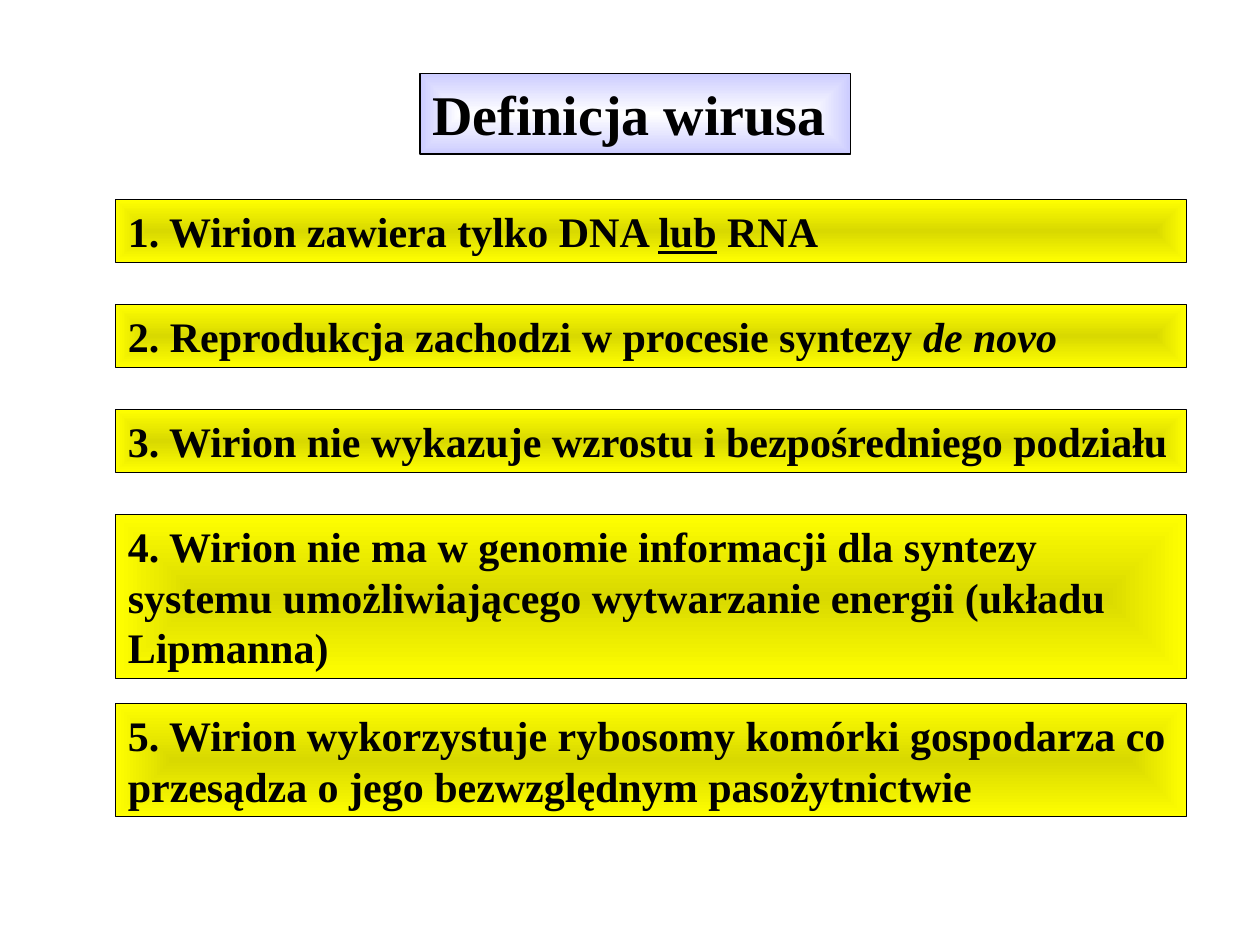
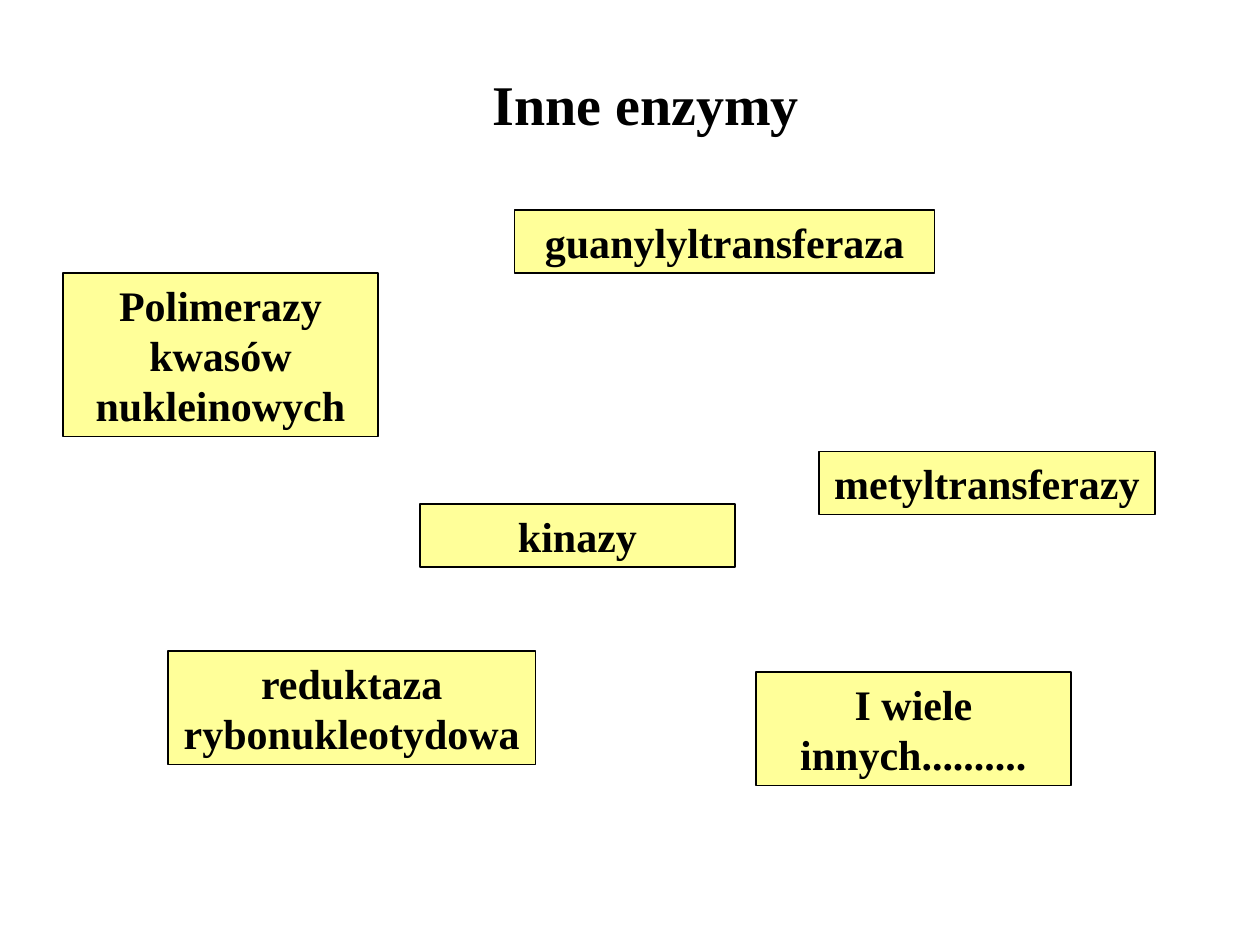
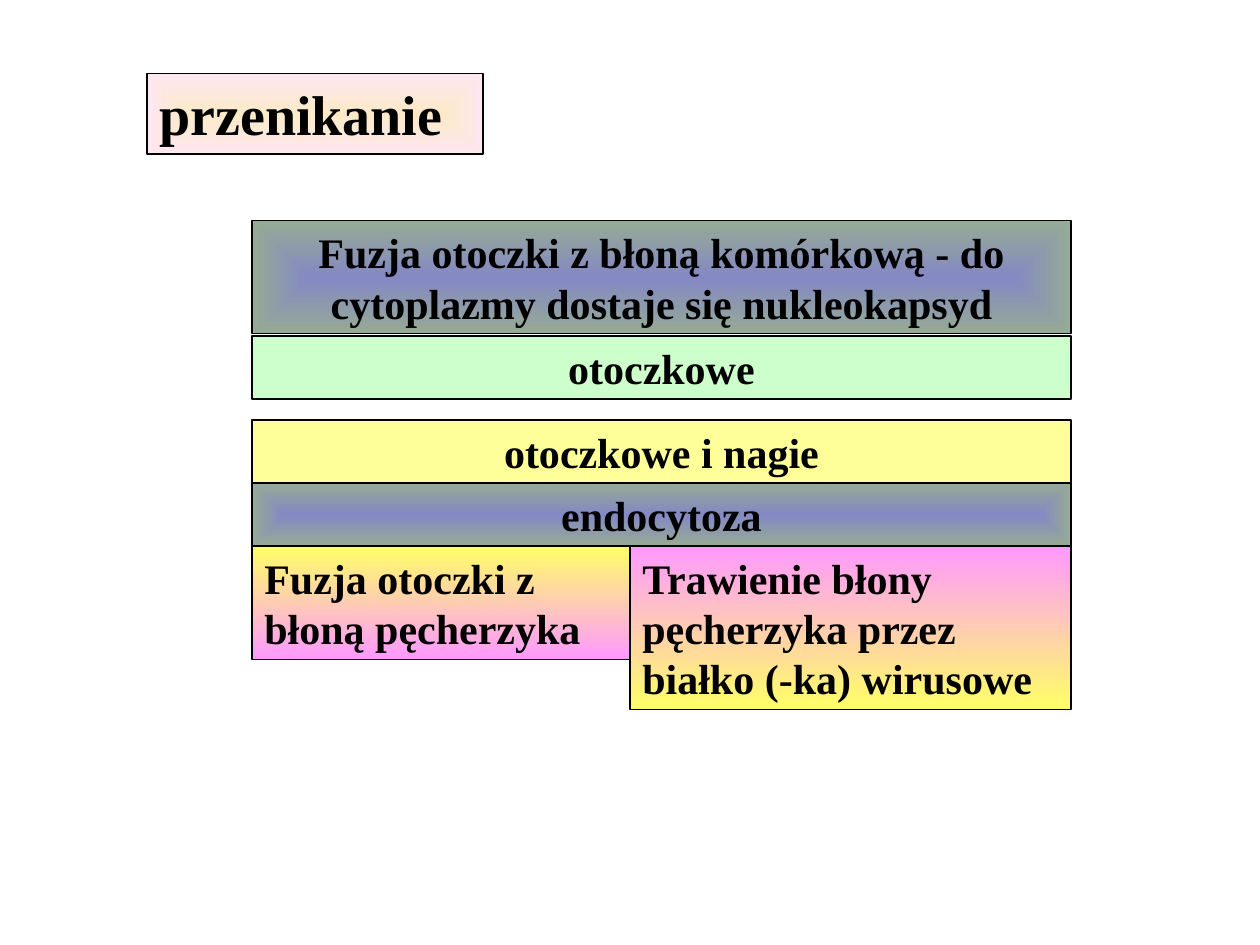
from dataclasses import dataclass

import pptx
import pptx.dml.color
import pptx.enum.shapes
import pptx.enum.text
import pptx.oxml
import pptx.oxml.ns
import pptx.util

Pt = pptx.util.Pt
LEFT = pptx.enum.text.PP_ALIGN.LEFT
CENTER = pptx.enum.text.PP_ALIGN.CENTER


@dataclass(frozen=True)
class Theme:
    font: str = "Times New Roman"
    title_size: float = 32
    body_size: float = 24
    line_width: float = 0.75
    ink: str = "000000"
    pale_yellow: str = "FFFF99"
    pale_green: str = "CCFFCC"
    # Gradients run from the centre (or top) to the edge (or bottom)
    lavender: tuple = ("FFFFFF", "CCCCFF")
    yellow: tuple = ("D9D900", "FFFF00")
    peach: tuple = ("FBEAC7", "FEE7F2")
    slate: tuple = ("8488C4", "96AB94")
    yellow_pink: tuple = ("FFFF66", "FF99FF")
    pink_yellow: tuple = ("FF99FF", "FFFF66")


THEME = Theme()
TITLE_HEIGHT = 46
# Box height for one, two or three lines of body text
BOX_HEIGHT = {1: 36, 2: 64.8, 3: 93.6}


def rgb(value):
    return pptx.dml.color.RGBColor.from_string(value)


# Text
def write_text(shape, text, size=THEME.body_size, align=LEFT):
    """Write a string, or a list of (string, font settings) pairs."""
    frame = shape.text_frame
    frame.word_wrap = True
    frame.auto_size = pptx.enum.text.MSO_AUTO_SIZE.SHAPE_TO_FIT_TEXT
    frame.vertical_anchor = pptx.enum.text.MSO_ANCHOR.TOP
    paragraph = frame.paragraphs[0]
    paragraph.alignment = align
    for words, settings in [(text, {})] if isinstance(text, str) else text:
        run = paragraph.add_run()
        run.text = words
        run.font.name = THEME.font
        run.font.size = Pt(size)
        run.font.bold = True
        run.font.color.rgb = rgb(THEME.ink)
        for key, value in settings.items():
            setattr(run.font, key, value)


# Fills
def fill_gradient(shape, colors, from_center):
    shape.fill.gradient()
    for stop, color in zip(shape.fill.gradient_stops, colors):
        stop.color.rgb = rgb(color)
    shape.fill.gradient_angle = 270
    if from_center:
        qn = pptx.oxml.ns.qn
        gradient = shape.element.spPr.find(qn("a:gradFill"))
        center = pptx.oxml.parse_xml(
            f'<a:path {pptx.oxml.ns.nsdecls("a")} path="rect">'
            '<a:fillToRect l="50000" t="50000" r="50000" b="50000"/></a:path>')
        gradient.replace(gradient.find(qn("a:lin")), center)


# Boxes
def add_box(slide, text, left, top, width, height, fill,
            from_center=True, **text_format):
    box = slide.shapes.add_shape(
        pptx.enum.shapes.MSO_SHAPE.RECTANGLE,
        Pt(left), Pt(top), Pt(width), Pt(height))
    box.shadow.inherit = False
    if isinstance(fill, tuple):
        fill_gradient(box, fill, from_center)
    else:
        box.fill.solid()
        box.fill.fore_color.rgb = rgb(fill)
    box.line.color.rgb = rgb(THEME.ink)
    box.line.width = Pt(THEME.line_width)
    write_text(box, text, **text_format)


def add_title_box(slide, text, left, width, fill):
    add_box(slide, text, left, 42, width, TITLE_HEIGHT, fill,
            size=THEME.title_size)


# Slides
def build_definition(slide):
    add_title_box(slide, "Definicja wirusa", 240, 246, THEME.lavender)
    features = [
        (114, 1, [("1. Wirion zawiera tylko DNA ", {}),
                  ("lub", {"underline": True}), (" RNA", {})]),
        (174, 1, [("2. Reprodukcja zachodzi w procesie syntezy ", {}),
                  ("de novo", {"italic": True})]),
        (234, 1, "3. Wirion nie wykazuje wzrostu i bezpośredniego podziału"),
        (294, 3, "4. Wirion nie ma w genomie informacji dla syntezy systemu "
                 "umożliwiającego wytwarzanie energii (układu Lipmanna)"),
        (402, 2, "5. Wirion wykorzystuje rybosomy komórki gospodarza co "
                 "przesądza o jego bezwzględnym pasożytnictwie"),
    ]
    for top, lines, feature in features:
        add_box(slide, feature, 66, top, 612, BOX_HEIGHT[lines], THEME.yellow)


def build_enzymes(slide):
    title = slide.shapes.add_textbox(Pt(132), Pt(36), Pt(474), Pt(TITLE_HEIGHT))
    write_text(title, "Inne enzymy", size=THEME.title_size, align=CENTER)
    enzymes = [
        ("kinazy", 240, 288, 180, 1),
        ("guanylyltransferaza", 294, 120, 240, 1),
        ("metyltransferazy", 468, 258, 192, 1),
        ("Polimerazy kwasów nukleinowych", 36, 156, 180, 3),
        ("reduktaza rybonukleotydowa", 96, 372, 210, 2),
        ("I wiele innych..........", 432, 384, 180, 2),
    ]
    for enzyme, left, top, width, lines in enzymes:
        add_box(slide, enzyme, left, top, width, BOX_HEIGHT[lines],
                THEME.pale_yellow, align=CENTER)


def build_penetration(slide):
    add_title_box(slide, "przenikanie", 84, 192, THEME.peach)
    # Entry routes and the viruses that use them
    routes = [
        ("Fuzja otoczki z błoną komórkową - do cytoplazmy dostaje się "
         "nukleokapsyd", 126, 2, THEME.slate),
        ("endocytoza", 276, 1, THEME.slate),
        ("otoczkowe", 192, 1, THEME.pale_green),
        ("otoczkowe i nagie", 240, 1, THEME.pale_yellow),
    ]
    for route, top, lines, fill in routes:
        add_box(slide, route, 144, top, 468, BOX_HEIGHT[lines], fill,
                align=CENTER)
    # Ways out of the vesicle
    exits = [
        ("Fuzja otoczki z błoną pęcherzyka", 144, 216, 2, THEME.yellow_pink),
        ("Trawienie błony pęcherzyka przez białko (-ka) wirusowe",
         360, 252, 3, THEME.pink_yellow),
    ]
    for way_out, left, width, lines, fill in exits:
        add_box(slide, way_out, left, 312, width, BOX_HEIGHT[lines], fill,
                from_center=False)


def main():
    deck = pptx.Presentation()
    deck.slide_width, deck.slide_height = Pt(720), Pt(540)
    for build in (build_definition, build_enzymes, build_penetration):
        build(deck.slides.add_slide(deck.slide_layouts[6]))
    deck.save("out.pptx")


if __name__ == "__main__":
    main()
